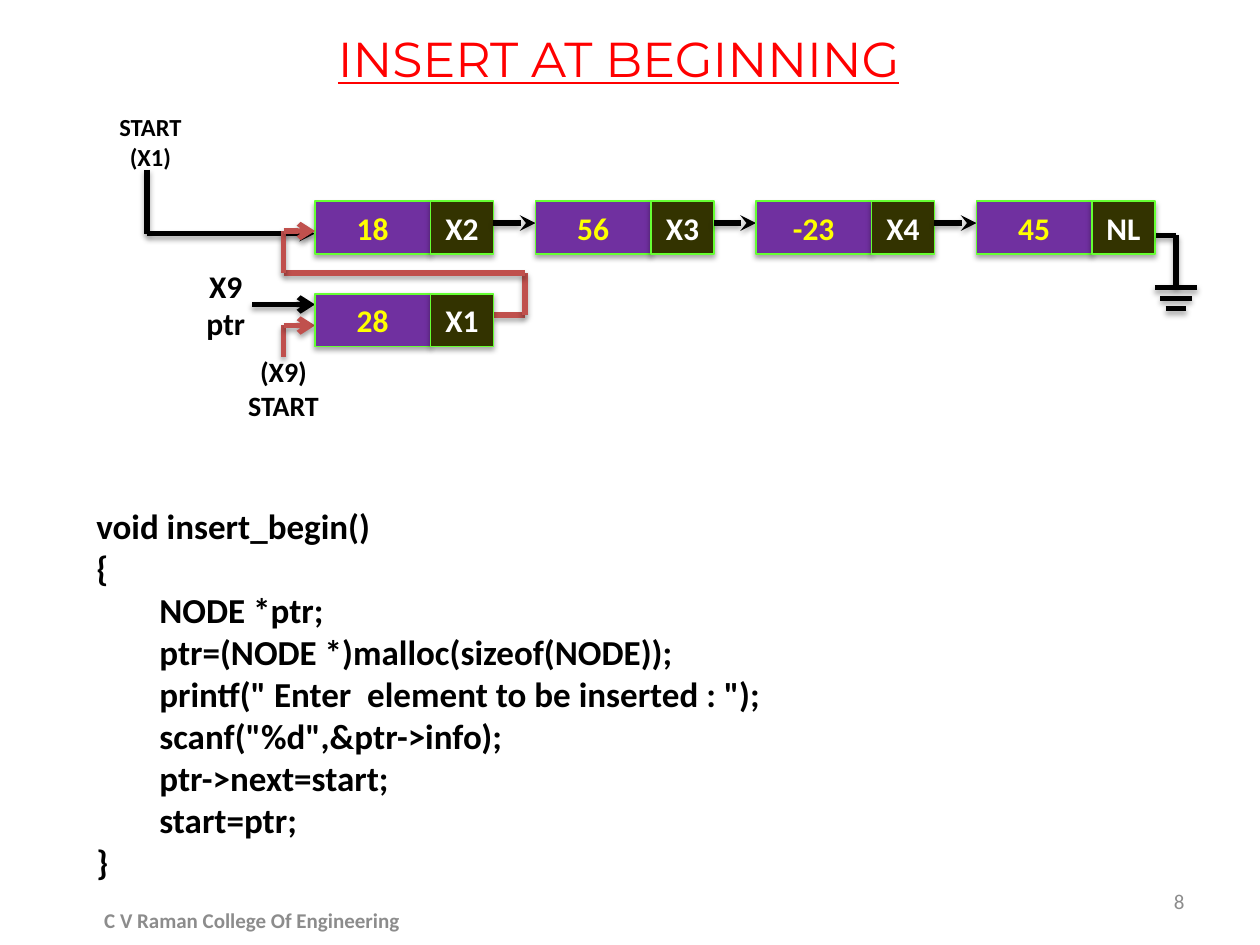
from lxml.etree import SubElement as Sub
from pptx import Presentation
from pptx.dml.color import RGBColor as RGB
from pptx.enum.shapes import MSO_CONNECTOR as Conn, MSO_SHAPE as Shape
from pptx.enum.text import MSO_ANCHOR as Anchor, PP_ALIGN as Align
from pptx.oxml.ns import qn
from pptx.util import Pt

# Content
COLORS = {"red": "FF0000", "black": "000000", "white": "FFFFFF", "gray": "8C8C8C",
          "data": "7030A0", "next": "333300", "edge": "66FF33",
          "yellow": "FFFF00", "new": "C0504D"}
TITLE = "INSERT AT BEGINNING"
LIST = [("18", "X2"), ("56", "X3"), ("-23", "X4"), ("45", "NL")]
NEW = ("28", "X1")
CODE = ["void insert_begin()", "{", "\tNODE *ptr;",
        "\tptr=(NODE *)malloc(sizeof(NODE));",
        '\tprintf(" Enter  element to be inserted : ");',
        '\tscanf("%d",&ptr->info);', "\tptr->next=start;", "\tstart=ptr;", "}"]
# Labels: shape, box, lines, size
LABELS = [(Shape.OVAL, (48, 66, 76, 30), ["START(X1)"], 14),
          (Shape.OVAL, (102, 156, 54, 36), ["X9", "ptr"], 18),
          (Shape.ROUNDED_RECTANGLE, (132, 204, 60, 36), ["(X9)", "START"], 16)]

# Node grid
LEFT, STEP, TOP, LOW = 180, 126, 115, 168
DATA_W, NEXT_W, NODE_H = 66, 36, 30
NODE_W = DATA_W + NEXT_W
LINK_Y = 127.5

# Routes: points, arrowhead at the end
START = ([(84, 97), (84, 133.5), (LEFT, 133.5)], "stealth")
PTR = ([(144, 174), (LEFT, 174)], "arrow")
GROUND = [([(660.5, 134.5), (672, 134.5), (672, 164)], None)]
GROUND += [([(672 - half, y), (672 + half, y)], None)
           for half, y in [(12, 164.5), (9, 170.5), (6, 176.5)]]
RELINK = [([(282, 180), (300, 180), (300, 156), (162, 156), (162, 132),
            (LEFT, 132)], "arrow"),
          ([(162, 204), (162, 186), (LEFT, 186)], "arrow")]

deck = Presentation()
deck.slide_width, deck.slide_height = Pt(720), Pt(540)
slide = deck.slides.add_slide(deck.slide_layouts[6])
shapes = slide.shapes


def color(name):
    return RGB.from_string(COLORS[name])


def shade(props):
    fx = props.find(qn("a:effectLst"))
    if fx is None:
        fx = Sub(props, qn("a:effectLst"))
    drop = Sub(fx, qn("a:outerShdw"), blurRad=str(Pt(3.1)), dist=str(Pt(1.8)),
               dir="5400000", rotWithShape="0")
    tone = Sub(drop, qn("a:srgbClr"), val=COLORS["black"])
    Sub(tone, qn("a:alpha"), val="35000")


def write(shape, lines, size, tone, bold=True, align=Align.CENTER,
          anchor=Anchor.MIDDLE, font="Calibri", under=None, wrap=True):
    frame = shape.text_frame
    frame.word_wrap, frame.vertical_anchor = wrap, anchor
    for i, line in enumerate(lines):
        para = frame.add_paragraph() if i else frame.paragraphs[0]
        para.alignment = align
        run = para.add_run()
        run.text = line
        style = run.font
        style.name, style.size, style.bold = font, Pt(size), bold
        style.underline = under
        style.color.rgb = color(tone)


def text(box, lines, size, tone, **style):
    write(shapes.add_textbox(*map(Pt, box)), lines, size, tone, **style)


def draw(points, head, tone="black"):
    last = len(points) - 2
    for i, (a, b) in enumerate(zip(points, points[1:])):
        line = shapes.add_connector(Conn.STRAIGHT, *map(Pt, a + b))
        line.line.color.rgb = color(tone)
        line.line.width = Pt(3)
        props = line._element.spPr
        if head and i == last:
            Sub(props.find(qn("a:ln")), qn("a:tailEnd"), type=head)
        shade(props)


def node(x, y, pair):
    cells = [(x, DATA_W, "data", "yellow"), (x + DATA_W, NEXT_W, "next", "white")]
    for word, (left, width, fill, tone) in zip(pair, cells):
        cell = shapes.add_shape(Shape.RECTANGLE, Pt(left), Pt(y), Pt(width), Pt(NODE_H))
        cell.fill.solid()
        cell.fill.fore_color.rgb = color(fill)
        cell.line.color.rgb = color("edge")
        cell.line.width = Pt(1)
        cell.shadow.inherit = False
        shade(cell._element.spPr)
        write(cell, [word], 18, tone)


# Title and code
text((186, 13, 374, 41), [TITLE], 28, "red", bold=False, align=Align.LEFT,
     anchor=Anchor.TOP, font="Montserrat", under=True, wrap=False)
text((48, 284.5, 546, 225), CODE, 20, "black", align=Align.LEFT, anchor=Anchor.TOP)

# Existing list
draw(*START)
for i, pair in enumerate(LIST):
    x = LEFT + i * STEP
    if i:
        draw([(x - STEP + NODE_W, LINK_Y), (x, LINK_Y)], "stealth")
    node(x, TOP, pair)
for route in GROUND:
    draw(*route)

# New node and its links
draw(*PTR)
for route in RELINK:
    draw(*route, tone="new")
node(LEFT, LOW, NEW)

# Labels
for kind, box, lines, size in LABELS:
    label = shapes.add_shape(kind, *map(Pt, box))
    label.fill.background()
    label.line.fill.background()
    label.shadow.inherit = False
    write(label, lines, size, "black")

# Footer
text((516, 500.5, 168, 29), ["8"], 12, "gray", bold=False, align=Align.RIGHT)
text((48, 511, 192, 29), ["C V Raman College Of Engineering"], 12, "gray")

deck.save("out.pptx")
